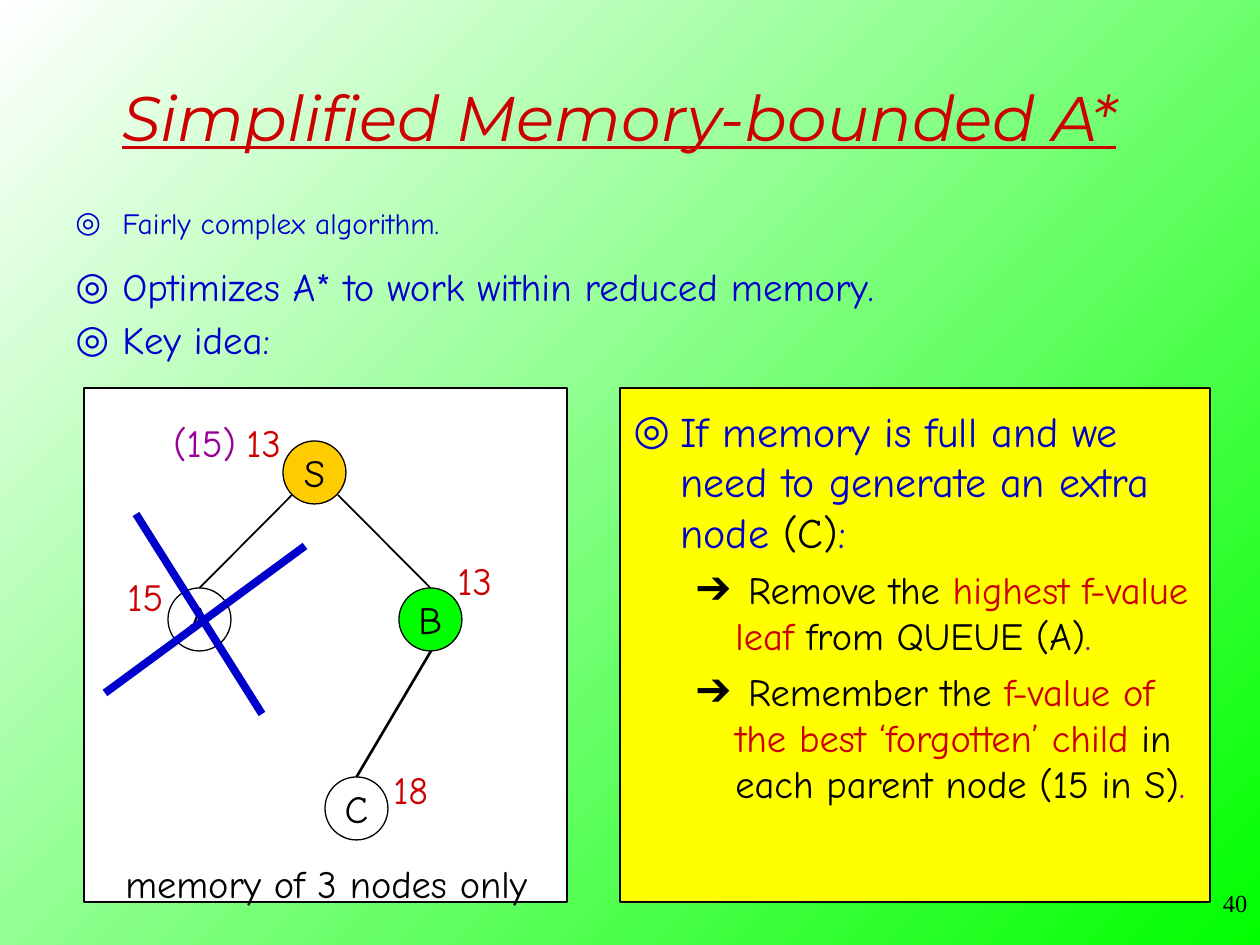
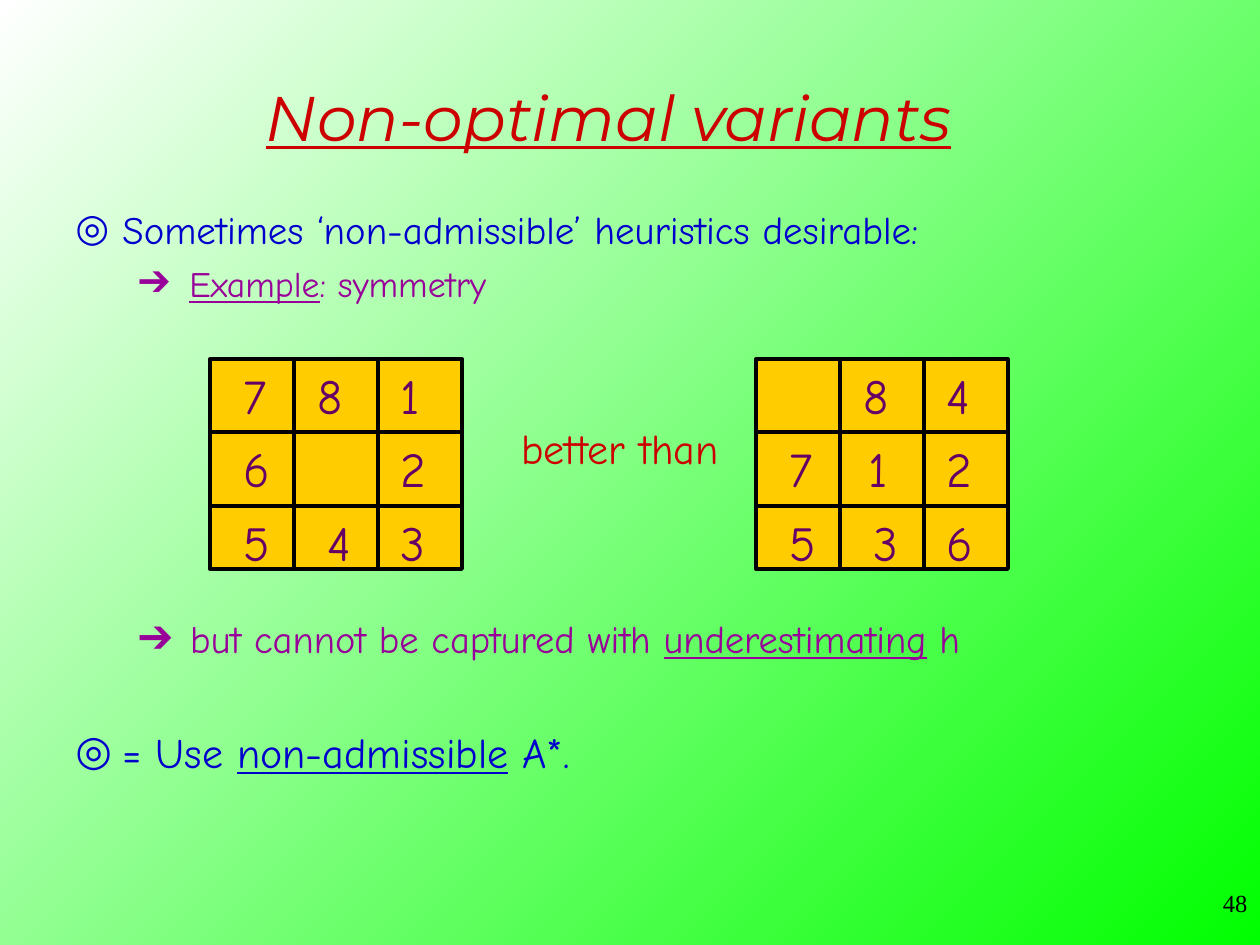
from lxml.etree import SubElement as Sub
from pptx import Presentation
from pptx.dml.color import RGBColor as Rgb
from pptx.enum.shapes import MSO_CONNECTOR as Conn, MSO_SHAPE as Kind
from pptx.enum.text import MSO_ANCHOR as Anchor, MSO_AUTO_SIZE as Auto, PP_ALIGN as Align
from pptx.oxml.ns import qn
from pptx.util import Emu, Pt

SCALE = 914400 / 126
BLUE, RED, PURPLE, PLUM = "0000CC", "CC0000", "990099", "660066"
BLACK, WHITE, GREEN = "000000", "FFFFFF", "00FF00"
GOLD, YELLOW = "FFCC00", "FFFF00"
HAND, SERIF = "Comic Neue", "Times New Roman"
TITLE = {"name": "Montserrat", "size": Pt(36), "italic": True, "underline": True}
LEVELS = (
    {"mark": "◎", "left": 47, "hang": 47, "gap": 6},
    {"mark": "➔", "left": 102, "hang": 39, "gap": 5.5},
)


def px(num):
    return Emu(round(num * SCALE))


def tint(color, code):
    color.rgb = Rgb.from_string(code)


def style(item, form):
    for key, value in form.items():
        setattr(item, key, value)


def write(para, text, color, form):
    run = para.add_run()
    run.text = text
    style(run.font, form)
    tint(run.font.color, color)


def label(slide, text, box, size, color, font=HAND, wrap=False, align=Align.LEFT):
    frame = slide.shapes.add_textbox(*map(px, box)).text_frame
    style(frame, {"word_wrap": wrap,
                  "auto_size": Auto.NONE if wrap else Auto.SHAPE_TO_FIT_TEXT})
    para = frame.paragraphs[0]
    para.alignment = align
    write(para, text, color, {"name": font, "size": Pt(size)})


def shape(slide, kind, box, fill, width=0.75):
    item = slide.shapes.add_shape(kind, *map(px, box))
    item.shadow.inherit = False
    item.fill.solid()
    tint(item.fill.fore_color, fill)
    tint(item.line.color, BLACK)
    item.line.width = Pt(width)
    return item


def line(slide, start, end, color, width):
    item = slide.shapes.add_connector(Conn.STRAIGHT, *map(px, (*start, *end)))
    tint(item.line.color, color)
    item.line.width = Pt(width)
    Sub(item._element.spPr, qn("a:effectLst"))
    return item


def bullet(para, level, color):
    form = LEVELS[level]
    props = para._p.get_or_add_pPr()
    props.set("marL", str(px(form["left"])))
    props.set("indent", str(-px(form["hang"])))
    paint = Sub(props, qn("a:buClr"))
    Sub(paint, qn("a:srgbClr")).set("val", color)
    Sub(props, qn("a:buFont")).set("typeface", SERIF)
    Sub(props, qn("a:buChar")).set("char", form["mark"])


def bullets(slide, box, items, lead=1.0):
    frame = slide.shapes.add_textbox(*map(px, box)).text_frame
    frame.word_wrap = True
    for at, (level, size, color, runs, *gap) in enumerate(items):
        para = frame.add_paragraph() if at else frame.paragraphs[0]
        space = gap[0] if gap else LEVELS[level]["gap"]
        style(para, {"level": level, "line_spacing": lead, "space_before": Pt(space)})
        bullet(para, level, color)
        for text, ink, under in runs:
            write(para, text, ink, {"name": HAND, "size": Pt(size), "underline": under})


def start(deck, text, width, page):
    slide = deck.slides.add_slide(deck.slide_layouts[5])
    title = slide.shapes.title
    style(title, dict(zip(("left", "top", "width", "height"), map(px, (73, 53, width, 126)))))
    frame = title.text_frame
    style(frame, {"vertical_anchor": Anchor.MIDDLE, "auto_size": Auto.NONE, "word_wrap": True})
    para = frame.paragraphs[0]
    para.alignment = Align.CENTER
    write(para, text, RED, TITLE)
    label(slide, page, (998, 882, 262, 63), 14, BLACK, SERIF, True, Align.RIGHT)
    return slide


def tree(slide, left, top, width, height):
    def spot(x, y):
        return left + x, top + y

    def node(text, x, y, fill):
        item = shape(slide, Kind.OVAL, (*spot(x, y), 63, 63), fill)
        frame = item.text_frame
        style(frame, {"word_wrap": False, "vertical_anchor": Anchor.MIDDLE})
        para = frame.paragraphs[0]
        para.alignment = Align.CENTER
        write(para, text, BLACK, {"name": HAND, "size": Pt(22)})
        return item

    shape(slide, Kind.RECTANGLE, (left, top, width, height), WHITE)
    node("S", 199, 53, GOLD)
    kids = (
        (node("A", 84, 200, WHITE), (208, 107), (116, 200), 1),
        (node("B", 315, 200, GREEN), (254, 107), (347, 200), 1),
        (node("C", 241, 389, WHITE), (347, 263), (273, 389), 1.5),
    )
    for kid, tail, tip, weight in kids:
        line(slide, spot(*tail), spot(*tip), BLACK, weight).end_connect(kid, 0)
    for tail, tip in (((52, 126), (178, 326)), ((221, 158), (21, 305))):
        line(slide, spot(*tail), spot(*tip), BLUE, 4.5)
    for text, x, y, wide, color in (
        ("(15)", 77, 25, 94, PURPLE),
        ("13", 150, 25, 66, RED),
        ("15", 31, 179, 66, RED),
        ("13", 361, 163, 66, RED),
        ("18", 297, 372, 66, RED),
        ("memory of 3 nodes only", 29, 466, 434, BLACK),
    ):
        label(slide, text, (*spot(x, y), wide, 59), 22, color)


def rules(slide, left, top, width, height):
    shape(slide, Kind.RECTANGLE, (left, top, width, height), YELLOW)
    bullets(slide, (left + 1, top + 11, width + 8, height - 41), (
        (0, 24, BLUE, (
            ("If memory is full and we need to generate an extra node ", BLUE, False),
            ("(C)", BLACK, False), (":", BLUE, False))),
        (1, 22, BLACK, (
            (" Remove the ", BLACK, False), ("highest f-value leaf ", RED, False),
            ("from QUEUE (A)", BLACK, False), (".", PURPLE, False))),
        (1, 22, BLACK, (
            (" Remember the ", BLACK, False),
            ("f-value of the best ‘forgotten’ child ", RED, False),
            ("in each parent node (15 in S)", BLACK, False), (".", PURPLE, False))),
    ))


def board(slide, left, top, rows):
    wide, high = 252, 210
    shape(slide, Kind.RECTANGLE, (left, top, wide, high), GOLD, 2.25)
    for x in (wide // 3, wide * 2 // 3):
        line(slide, (left + x, top), (left + x, top + high), BLACK, 2.25)
    for y in (73, 147):
        line(slide, (left, top + y), (left + wide, top + y), BLACK, 2.25)
    for row, (y, digits) in enumerate(zip((0, 73, 147), rows)):
        for x, digit in zip((21, 95 + 5 * row, 178), digits):
            if digit:
                label(slide, digit, (left + x, top + y, 54, 72), 28, PLUM)


def memory(deck):
    slide = start(deck, "Simplified Memory-bounded A*", 1092, "40")
    bullets(slide, (63, 199, 1092, 53), (
        (0, 16.8, BLUE, (("Fairly complex algorithm.", BLUE, False),)),))
    bullets(slide, (63, 262, 1092, 116), [
        (0, 22.2, BLUE, ((text, BLUE, False),))
        for text in ("Optimizes A* to work within reduced memory.", "Key idea:")], 0.9)
    rules(slide, 620, 388, 590, 514)
    tree(slide, 84, 388, 483, 514)


def variants(deck):
    slide = start(deck, "Non-optimal variants", 1071, "48")
    bullets(slide, (63, 199, 1092, 116), (
        (0, 22.2, BLUE, (("Sometimes ‘non-admissible’ heuristics desirable:", BLUE, False),)),
        (1, 20.4, PURPLE, ((" ", PURPLE, False), ("Example", PURPLE, True),
                           (": symmetry", PURPLE, False))),
    ))
    board(slide, 210, 359, (("7", "8", "1"), ("6", "", "2"), ("5", "4", "3")))
    board(slide, 756, 359, (("", "8", "4"), ("7", "1", "2"), ("5", "3", "6")))
    label(slide, "better than", (509, 416, 228, 63), 24, RED)
    bullets(slide, (63, 609, 1092, 179), (
        (1, 22, PURPLE, ((" but cannot be captured with ", PURPLE, False),
                         ("underestimating", PURPLE, True), (" h", PURPLE, False))),
        (0, 24, BLUE, (("= Use ", BLUE, False), ("non-admissible", BLUE, True),
                       (" A*.", BLUE, False)), 37),
    ))


def main():
    deck = Presentation()
    style(deck, {"slide_width": px(1260), "slide_height": px(945)})
    back = deck.slide_master.background.fill
    back.gradient()
    back.gradient_angle = 135
    for stop, code in zip(back.gradient_stops, (GREEN, WHITE)):
        tint(stop.color, code)
    memory(deck)
    variants(deck)
    deck.save("out.pptx")


if __name__ == "__main__":
    main()
